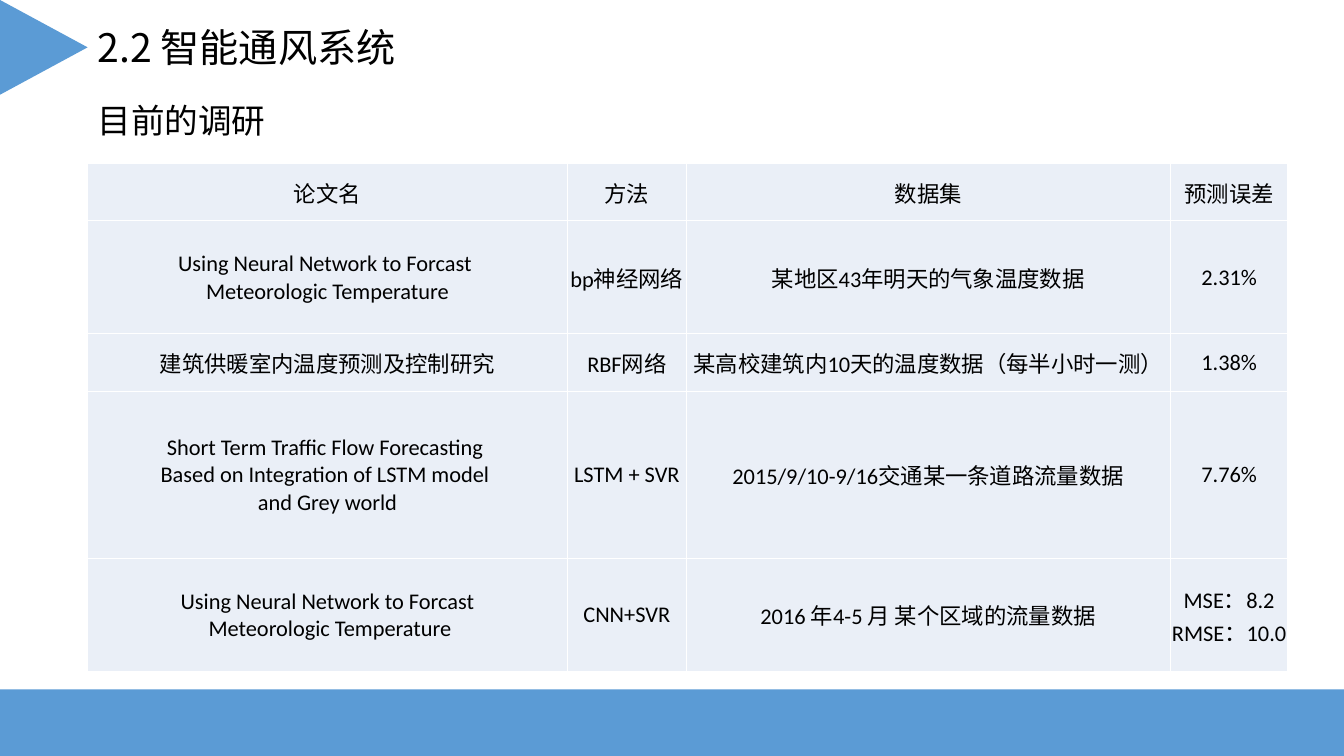
from lxml import etree
from pptx import Presentation
from pptx import util as u
from pptx.dml.color import RGBColor
from pptx.enum import shapes, text
from pptx.oxml.ns import qn

BLUE, PALE, WHITE, BLACK = "5B9BD5", "EAEFF7", "FFFFFF", "000000"
CJK_FONT = "Noto Sans CJK SC"
COLUMN_WIDTHS = [342.7, 85, 345.6, 84.2]
ROW_HEIGHTS = [41, 80.6, 41, 119.5, 80.6]
SURVEY = [
    ["论文名", "方法", "数据集", "预测误差"],
    ["Using Neural Network to Forcast \nMeteorologic Temperature", "bp神经网络",
     "某地区43年明天的气象温度数据", "2.31%"],
    ["建筑供暖室内温度预测及控制研究", "RBF网络",
     "某高校建筑内10天的温度数据（每半小时一测）", "1.38%"],
    ["Short Term Traffic Flow Forecasting \nBased on Integration of LSTM model \nand Grey world",
     "LSTM + SVR", "2015/9/10-9/16交通某一条道路流量数据", "7.76%"],
    ["Using Neural Network to Forcast\n Meteorologic Temperature", "CNN+SVR",
     "2016 年4-5 月 某个区域的流量数据", "MSE：8.2\nRMSE：10.0"],
]


def color(value):
    """Turn a hex string into a colour."""
    return RGBColor.from_string(value)


def write(frame, words, size=16, font=CJK_FONT, fill=BLACK, align=text.PP_ALIGN.LEFT):
    """Write one formatted paragraph, with line breaks, into a text frame."""
    frame.word_wrap = True
    paragraph = frame.paragraphs[0]
    paragraph.text = words
    paragraph.alignment = align
    for line_break in paragraph._p.findall(qn("a:br")):
        etree.SubElement(line_break, qn("a:rPr")).set("sz", str(size * 100))
    for run in paragraph.runs:
        run.font.size = u.Pt(size)
        run.font.name = font
        run.font.color.rgb = color(fill)
        east_asian = etree.SubElement(run._r.get_or_add_rPr(), qn("a:ea"))
        east_asian.set("typeface", CJK_FONT)


def add_block(slide, kind, left, top, width, height):
    """Add a plain blue shape."""
    shape = slide.shapes.add_shape(kind, u.Pt(left), u.Pt(top), u.Pt(width), u.Pt(height))
    shape.shadow.inherit = False
    shape.fill.solid()
    shape.fill.fore_color.rgb = color(BLUE)
    shape.line.fill.background()
    return shape


def add_decoration(slide, width, height):
    """Add the corner arrow and the bottom band to a page of the given size."""
    depth, span, band = 62.6, 67.7, 47.5
    arrow = add_block(slide, shapes.MSO_SHAPE.ISOSCELES_TRIANGLE,
                      (depth - span) / 2, (span - depth) / 2, span, depth)
    arrow.rotation = 90
    add_block(slide, shapes.MSO_SHAPE.RECTANGLE, 0, height - band, width, band)


def add_heading(slide, words, size, left, top, width, height):
    """Add a one-line heading in the given box."""
    box = slide.shapes.add_textbox(u.Pt(left), u.Pt(top), u.Pt(width), u.Pt(height))
    write(box.text_frame, words, size=size)
    box.text_frame.vertical_anchor = text.MSO_ANCHOR.MIDDLE


def add_borders(cell):
    """Draw thin white borders round a cell."""
    properties = cell._tc.get_or_add_tcPr()
    for position, side in enumerate(("lnL", "lnR", "lnT", "lnB")):
        line = etree.Element(qn(f"a:{side}"), w=str(u.Pt(1)))
        fill = etree.SubElement(line, qn("a:solidFill"))
        etree.SubElement(fill, qn("a:srgbClr")).set("val", WHITE)
        properties.insert(position, line)


def add_survey(slide, left, top):
    """Add the table of surveyed papers at the given corner."""
    table = slide.shapes.add_table(
        len(ROW_HEIGHTS), len(COLUMN_WIDTHS), u.Pt(left), u.Pt(top),
        u.Pt(sum(COLUMN_WIDTHS)), u.Pt(sum(ROW_HEIGHTS))).table
    table.first_row = table.horz_banding = False
    for column, width in zip(table.columns, COLUMN_WIDTHS):
        column.width = u.Pt(width)
    for row, height, entries in zip(table.rows, ROW_HEIGHTS, SURVEY):
        row.height = u.Pt(height)
        for cell, words in zip(row.cells, entries):
            cell.margin_left = cell.margin_right = cell.margin_top = u.Pt(0.7)
            cell.margin_bottom = 0
            cell.vertical_anchor = text.MSO_ANCHOR.MIDDLE
            cell.fill.solid()
            cell.fill.fore_color.rgb = color(PALE)
            add_borders(cell)
            write(cell.text_frame, words, font="Calibri", align=text.PP_ALIGN.CENTER)


def main():
    """Build and save the slide."""
    presentation = Presentation()
    presentation.slide_width, presentation.slide_height = u.Pt(960), u.Pt(540)
    slide = presentation.slides.add_slide(presentation.slide_layouts[6])
    add_decoration(slide, 960, 540)
    add_heading(slide, "2.2 智能通风系统", 28, 62.6, 13, 375, 41)
    add_heading(slide, "目前的调研", 24, 62.6, 67.7, 720.7, 36)
    add_survey(slide, 62.6, 116.8)
    presentation.save("out.pptx")


if __name__ == "__main__":
    main()
